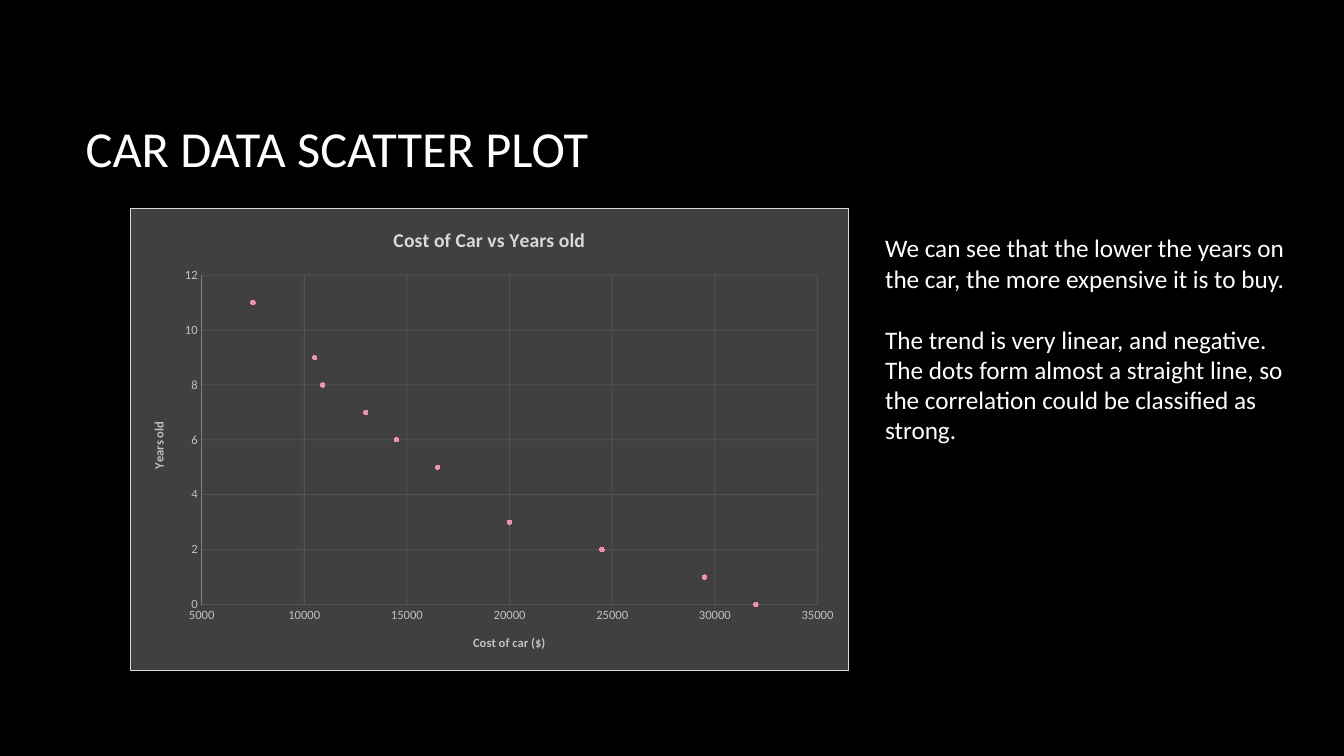
from lxml import etree
from pptx import Presentation
from pptx.chart.data import XyChartData
from pptx.dml.color import RGBColor
from pptx.enum.chart import XL_CHART_TYPE, XL_MARKER_STYLE, XL_TICK_MARK
from pptx.enum.text import MSO_ANCHOR, PP_ALIGN
from pptx.oxml import parse_xml
from pptx.oxml.ns import nsdecls, qn
from pptx.util import Inches, Pt

BLACK = RGBColor(0x00, 0x00, 0x00)
WHITE = RGBColor(0xFF, 0xFF, 0xFF)
PANEL = RGBColor(0x40, 0x40, 0x40)
GRID = RGBColor(0x59, 0x59, 0x59)
AXIS = RGBColor(0x80, 0x80, 0x80)
LABEL = RGBColor(0xBF, 0xBF, 0xBF)
PALE = RGBColor(0xD9, 0xD9, 0xD9)
PINK = RGBColor(0xF1, 0x8F, 0xAC)

# Cost in dollars, age in years
CARS = [
    (32000, 0), (29500, 1), (24500, 2), (20000, 3), (16500, 5),
    (14500, 6), (13000, 7), (10900, 8), (10500, 9), (7500, 11),
]
FINDINGS = [
    "We can see that the lower the years on the car, the more expensive it is to buy.",
    "The trend is very linear, and negative. The dots form almost a straight line, "
    "so the correlation could be classified as strong.",
]


def set_all(target, **values):
    for name, value in values.items():
        setattr(target, name, value)


def style_font(font, size, color, bold=False):
    set_all(font, name="Calibri", size=Pt(size), bold=bold)
    font.color.rgb = color


def style_line(line, color):
    line.color.rgb = color
    line.width = Pt(0.75)


def add_heading(slide, text):
    heading = slide.shapes.title
    set_all(heading, left=Inches(0.75), top=Inches(0.67),
            width=Inches(11.08), height=Inches(1.59))
    heading.text_frame.text = text
    heading.text_frame.vertical_anchor = MSO_ANCHOR.MIDDLE
    line = heading.text_frame.paragraphs[0]
    line.alignment = PP_ALIGN.LEFT
    style_font(line.runs[0].font, 36, WHITE)


def add_findings(slide, findings):
    box = slide.shapes.add_textbox(Inches(8.68), Inches(2.26), Inches(4.22), Inches(2.22))
    frame = box.text_frame
    frame.word_wrap = True
    for index, finding in enumerate(findings):
        paragraph = frame.paragraphs[0] if index == 0 else frame.add_paragraph()
        paragraph.space_before = Pt(22 if index else 0)
        run = paragraph.add_run()
        run.text = finding
        style_font(run.font, 18, WHITE)


def write_title(owner, text, size, color):
    """Title a chart or one of its axes."""
    owner.has_title = True
    title = owner.chart_title if hasattr(owner, "chart_title") else owner.axis_title
    title.text_frame.text = text
    style_font(title.text_frame.paragraphs[0].runs[0].font, size, color, bold=True)


def style_axis(axis, title, low, high, step):
    set_all(axis, minimum_scale=low, maximum_scale=high, major_unit=step,
            has_major_gridlines=True, major_tick_mark=XL_TICK_MARK.NONE,
            minor_tick_mark=XL_TICK_MARK.NONE)
    style_font(axis.tick_labels.font, 9, LABEL)
    write_title(axis, title, 9, LABEL)
    grid = axis.major_gridlines.format.line
    style_line(grid, GRID)
    grid_color = axis.major_gridlines._xAx.find(qn("c:majorGridlines")).find(".//" + qn("a:srgbClr"))
    etree.SubElement(grid_color, qn("a:alpha"), val="75000")


def frame_chart(chart):
    """Fill and outline the chart area, and fix the plot area in it."""
    root = chart._chartSpace
    root.find(qn("c:txPr")).addprevious(parse_xml(
        f'<c:spPr {nsdecls("c", "a")}>'
        f'<a:solidFill><a:srgbClr val="{PANEL}"/></a:solidFill>'
        f'<a:ln w="9525"><a:solidFill><a:srgbClr val="{PALE}"/></a:solidFill></a:ln>'
        "</c:spPr>"))
    plot_area = root.find(".//" + qn("c:plotArea"))
    for old in plot_area.findall(qn("c:layout")):
        plot_area.remove(old)
    layout = etree.Element(qn("c:layout"))
    manual = etree.SubElement(layout, qn("c:manualLayout"))
    places = {"layoutTarget": "inner", "xMode": "edge", "yMode": "edge",
              "x": "0.099", "y": "0.145", "w": "0.858", "h": "0.712"}
    for tag, value in places.items():
        etree.SubElement(manual, qn(f"c:{tag}"), val=value)
    plot_area.insert(0, layout)


def add_scatter(slide, cars):
    data = XyChartData()
    car_series = data.add_series("Series 1")
    for cost, age in cars:
        car_series.add_data_point(cost, age)
    chart = slide.shapes.add_chart(
        XL_CHART_TYPE.XY_SCATTER, Inches(1.29), Inches(2.06),
        Inches(7.13), Inches(4.6), data).chart
    chart.has_legend = False
    style_font(chart.font, 10, WHITE)
    write_title(chart, "Cost of Car vs Years old", 14, PALE)
    frame_chart(chart)

    # Axes
    style_axis(chart.category_axis, "Cost of car ($)", 5000, 35000, 5000)
    chart.category_axis.format.line.fill.background()
    style_axis(chart.value_axis, "Years old", 0, 12, 2)
    style_line(chart.value_axis.format.line, AXIS)

    # Dots
    chart.plots[0].vary_by_categories = False
    dots = chart.plots[0].series[0]
    dots.smooth = False
    dots.format.line.fill.background()
    set_all(dots.marker, style=XL_MARKER_STYLE.CIRCLE, size=3)
    dots.marker.format.fill.solid()
    dots.marker.format.fill.fore_color.rgb = PINK
    style_line(dots.marker.format.line, PINK)


def main():
    deck = Presentation()
    set_all(deck, slide_width=Inches(13.33), slide_height=Inches(7.5))
    slide = deck.slides.add_slide(deck.slide_layouts[5])
    slide.background.fill.solid()
    slide.background.fill.fore_color.rgb = BLACK
    add_heading(slide, "CAR DATA SCATTER PLOT")
    add_scatter(slide, CARS)
    add_findings(slide, FINDINGS)
    deck.save("out.pptx")


if __name__ == "__main__":
    main()
